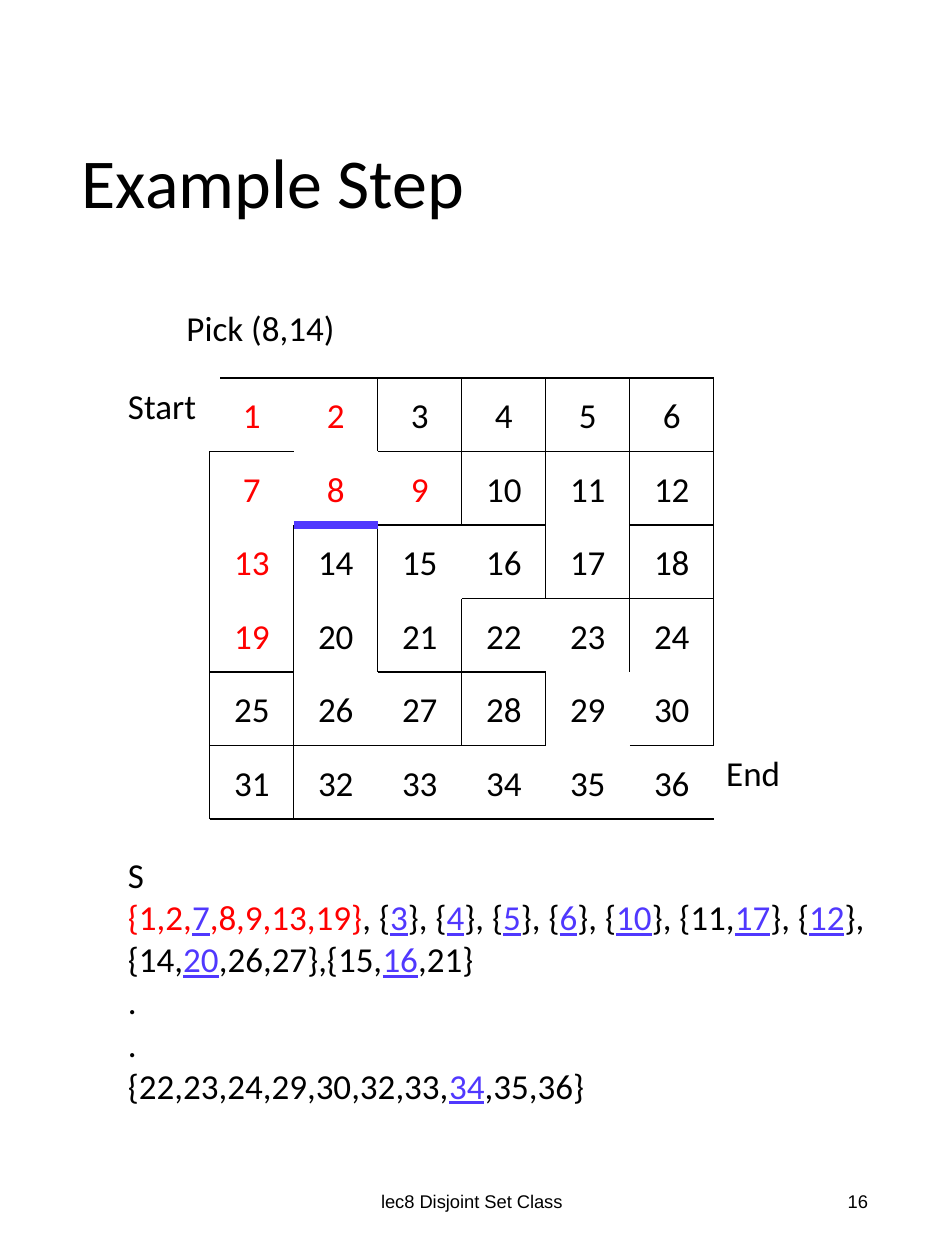
from lxml import etree
from pptx import Presentation
from pptx import util as u
from pptx.dml import color as dml
from pptx.enum import shapes, text as t
from pptx.oxml import ns

COLOURS = {"ink": "000000", "merged": "FF0000", "root": "5038FE"}
GRID = 6
MAZE_LEFT, MAZE_TOP = 4.23, 7.62
CELL_WIDTH, CELL_HEIGHT = 10.16 / GRID, 8.89 / GRID
LABEL_WIDTH, LABEL_HEIGHT = 1.27, 1.06

FLOOR_COLUMNS = [
    (1, 2, 3, 4, 5),
    (0, 2, 3, 4, 5),
    (2, 3, 5),
    (3, 4, 5),
    (0, 2, 3),
    (0, 1, 2, 3, 5),
    (),
]
SIDE_EDGES = [
    (2, 3, 4, 5, 6),
    (3, 4, 5, 6),
    (1, 2, 4, 5, 6),
    (1, 2, 3, 5, 6),
    (1, 3, 4, 6),
    (1,),
]
MERGED_CELLS = {1, 2, 7, 8, 9, 13, 19}

# Vertical bars enclose the merged set and underscores enclose set roots.
SETS = (
    "S\n"
    "|{1,2,_7_,8,9,13,19}|, {_3_}, {_4_}, {_5_}, {_6_}, {_10_}, "
    "{11,_17_}, {_12_}, {14,_20_,26,27},{15,_16_,21}\n"
    ".\n"
    ".\n"
    "{22,23,24,29,30,32,33,_34_,35,36}"
)


def rgb(name):
    return dml.RGBColor.from_string(COLOURS[name])


def add_text(slide, wording, left, top, width, height, *, size=20,
             font="Calibri", colour="ink", align="LEFT", anchor="TOP",
             wrap=True, grow=False, spacing=None):
    frame = slide.shapes.add_textbox(
        u.Cm(left), u.Cm(top), u.Cm(width), u.Cm(height)).text_frame
    frame.word_wrap = wrap
    frame.vertical_anchor = t.MSO_ANCHOR[anchor]
    frame.auto_size = (t.MSO_AUTO_SIZE.SHAPE_TO_FIT_TEXT if grow
                       else t.MSO_AUTO_SIZE.NONE)
    for index, line in enumerate(wording.split("\n")):
        paragraph = frame.add_paragraph() if index else frame.paragraphs[0]
        paragraph.alignment = t.PP_ALIGN[align]
        if spacing:
            paragraph.line_spacing = spacing
        for part, section in enumerate(line.split("|")):
            section_colour = "merged" if part % 2 else colour
            for piece, words in enumerate(section.split("_")):
                if not words:
                    continue
                is_root = piece % 2 == 1
                run = paragraph.add_run()
                run.text = words
                run.font.size = u.Pt(size)
                run.font.name = font
                run.font.color.rgb = rgb("root" if is_root else section_colour)
                if is_root:
                    run.font.underline = True


def add_wall(slide, start, end, *, colour="ink", weight=0.75):
    (x1, y1), (x2, y2) = [
        (u.Cm(MAZE_LEFT + column * CELL_WIDTH),
         u.Cm(MAZE_TOP + row * CELL_HEIGHT))
        for column, row in (start, end)]
    wall = slide.shapes.add_connector(
        shapes.MSO_CONNECTOR.STRAIGHT, x1, y1, x2, y2)
    wall.line.color.rgb = rgb(colour)
    wall.line.width = u.Pt(weight)
    etree.SubElement(wall._element.spPr, ns.qn("a:effectLst"))


def add_maze(slide):
    for row, columns in enumerate(FLOOR_COLUMNS):
        for column in columns:
            add_wall(slide, (column, row), (column + 1, row))
    for row, edges in enumerate(SIDE_EDGES):
        for edge in edges:
            add_wall(slide, (edge, row), (edge, row + 1))
    add_wall(slide, (0.125, 0), (1.125, 0))
    add_wall(slide, (GRID - 1, GRID), (0, GRID))
    add_wall(slide, (GRID - 1, GRID), (GRID, GRID))
    add_wall(slide, (0, GRID), (0, 1))
    add_wall(slide, (1, 2), (2, 2), colour="root", weight=4.5)


def add_numbers(slide):
    for index in range(GRID * GRID):
        row, column = divmod(index, GRID)
        number = index + 1
        add_text(slide, str(number),
                 MAZE_LEFT + (column + 0.5) * CELL_WIDTH - LABEL_WIDTH / 2,
                 MAZE_TOP + (row + 0.5) * CELL_HEIGHT - LABEL_HEIGHT / 2,
                 LABEL_WIDTH, LABEL_HEIGHT,
                 colour="merged" if number in MERGED_CELLS else "ink",
                 align="CENTER", anchor="MIDDLE", wrap=False)


def main():
    deck = Presentation()
    deck.slide_width, deck.slide_height = u.Cm(19.05), u.Cm(25.4)
    slide = deck.slides.add_slide(deck.slide_layouts[6])

    add_text(slide, "Example Step", 1.4, 1.3, 16.43, 4.9,
             size=40, anchor="MIDDLE", spacing=0.9)
    add_text(slide, "Pick (8,14)", 3.51, 6.05, 4.11, 1.11,
             wrap=False, grow=True)
    add_maze(slide)
    add_numbers(slide)
    add_text(slide, "Start", 2.33, MAZE_TOP, 2.16, 1.11,
             wrap=False, grow=True)
    add_text(slide, "End", MAZE_LEFT + GRID * CELL_WIDTH,
             MAZE_TOP + 5 * CELL_HEIGHT, 1.8, 1.11, wrap=False, grow=True)
    add_text(slide, SETS, 2.33, 17.09, 15.82, 6.25, grow=True)
    add_text(slide, "lec8 Disjoint Set Class", 6.3, 23.54, 6.43, 1.35,
             size=10.5, font="Arial", align="CENTER", anchor="MIDDLE")
    add_text(slide, "16", 13.46, 23.54, 4.29, 1.35,
             size=10.5, font="Arial", align="RIGHT", anchor="MIDDLE")
    deck.save("out.pptx")


if __name__ == "__main__":
    main()
